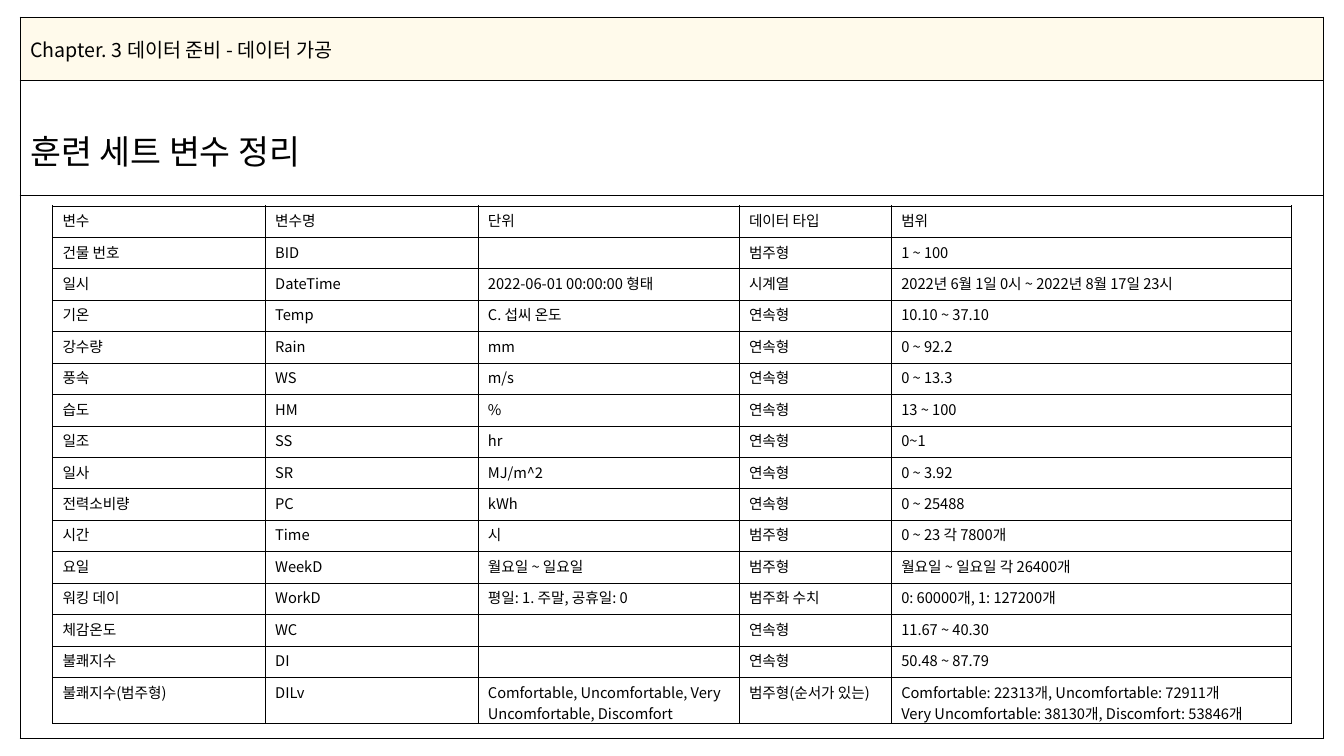
import pptx
import pptx.util
import pptx.dml.color
import pptx.enum.text
import pptx.oxml.ns
from lxml import etree

# Content
CHAPTER = "Chapter. 3 데이터 준비 - 데이터 가공"
HEADING = "훈련 세트 변수 정리"
VARIABLES = [
    ("변수", "변수명", "단위", "데이터 타입", "범위"),
    ("건물 번호", "BID", "", "범주형", "1 ~ 100"),
    ("일시", "DateTime", "2022-06-01 00:00:00 형태", "시계열",
     "2022년 6월 1일 0시 ~ 2022년 8월 17일 23시"),
    ("기온", "Temp", "C. 섭씨 온도", "연속형", "10.10 ~ 37.10"),
    ("강수량", "Rain", "mm", "연속형", "0 ~ 92.2"),
    ("풍속", "WS", "m/s", "연속형", "0 ~ 13.3"),
    ("습도", "HM", "%", "연속형", "13 ~ 100"),
    ("일조", "SS", "hr", "연속형", "0~1"),
    ("일사", "SR", "MJ/m^2", "연속형", "0 ~ 3.92"),
    ("전력소비량", "PC", "kWh", "연속형", "0 ~ 25488"),
    ("시간", "Time", "시", "범주형", "0 ~ 23 각 7800개"),
    ("요일", "WeekD", "월요일 ~ 일요일", "범주형", "월요일 ~ 일요일 각 26400개"),
    ("워킹 데이", "WorkD", "평일: 1. 주말, 공휴일: 0", "범주화 수치",
     "0: 60000개, 1: 127200개"),
    ("체감온도", "WC", "", "연속형", "11.67 ~ 40.30"),
    ("불쾌지수", "DI", "", "연속형", "50.48 ~ 87.79"),
    ("불쾌지수(범주형)", "DILv",
     "Comfortable, Uncomfortable, Very Uncomfortable, Discomfort",
     "범주형(순서가 있는)",
     "Comfortable: 22313개, Uncomfortable: 72911개\n"
     "Very Uncomfortable: 38130개, Discomfort: 53846개"),
]

# Layout in inches
FRAME_AT, FRAME_ROWS, FRAME_COLS = (0.2, 0.17), [0.63, 1.14, 5.39], [12.93]
GRID_AT, GRID_COLS = (0.52, 2.04), [2.11, 2.11, 2.59, 1.51, 3.97]
GRID_HEIGHT, LAST_ROW = 5.13, 0.45
body_rows = len(VARIABLES) - 1
GRID_ROWS = [(GRID_HEIGHT - LAST_ROW) / body_rows] * body_rows + [LAST_ROW]


class Theme:
    font = "Noto Sans CJK KR"
    ink = pptx.dml.color.RGBColor.from_string("000000")
    band = pptx.dml.color.RGBColor.from_string("FFFAEB")
    chapter, heading, body = 14, 24, 10.5
    frame_line, grid_line = 1, 0.25


Inches, Pt, qn = pptx.util.Inches, pptx.util.Pt, pptx.oxml.ns.qn


def add_plain_table(slide, at, cols, rows, line):
    """Add an unfilled table with one border weight all round."""
    table = slide.shapes.add_table(
        len(rows), len(cols), Inches(at[0]), Inches(at[1]),
        Inches(sum(cols)), Inches(sum(rows))).table
    table.first_row = table.horz_banding = False
    for column, width in zip(table.columns, cols):
        column.width = Inches(width)
    for row, height in zip(table.rows, rows):
        row.height = Inches(height)
    for cell in table.iter_cells():
        tcPr = cell._tc.get_or_add_tcPr()
        for side in ("a:lnL", "a:lnR", "a:lnT", "a:lnB"):
            ln = etree.SubElement(tcPr, qn(side), w=str(int(Pt(line))))
            fill = etree.SubElement(ln, qn("a:solidFill"))
            etree.SubElement(fill, qn("a:srgbClr"), val=str(Theme.ink))
        cell.fill.background()
    return table


def write(cell, text, size):
    """Set the cell text; an empty cell keeps the size on its end mark."""
    cell.text_frame.text = text
    for p in cell.text_frame.paragraphs:
        if not p.runs:
            etree.SubElement(p._p, qn("a:endParaRPr"), sz=str(int(size * 100)))
        for r in p.runs:
            r.font.size = Pt(size)
            r.font.color.rgb = Theme.ink
            r.font.name = Theme.font
            etree.SubElement(r._r.get_or_add_rPr(), qn("a:ea"),
                             typeface=Theme.font)


def main():
    prs = pptx.Presentation()
    prs.slide_width, prs.slide_height = Inches(13.33), Inches(7.5)
    s = prs.slides.add_slide(prs.slide_layouts[6])

    # Page frame with chapter band and heading
    frame = add_plain_table(s, FRAME_AT, FRAME_COLS, FRAME_ROWS,
                            Theme.frame_line)
    chapter, heading = frame.cell(0, 0), frame.cell(1, 0)
    write(chapter, CHAPTER, Theme.chapter)
    write(heading, HEADING, Theme.heading)
    chapter.fill.solid()
    chapter.fill.fore_color.rgb = Theme.band
    heading.text_frame.paragraphs[0].line_spacing = 1.5
    for cell in (chapter, heading):
        cell.vertical_anchor = pptx.enum.text.MSO_ANCHOR.MIDDLE

    # Variable summary
    grid = add_plain_table(s, GRID_AT, GRID_COLS, GRID_ROWS, Theme.grid_line)
    for i, record in enumerate(VARIABLES):
        for j, text in enumerate(record):
            cell = grid.cell(i, j)
            write(cell, text, Theme.body)
            cell.margin_top, cell.margin_bottom = Inches(0.04), 0

    prs.save("out.pptx")


if __name__ == "__main__":
    main()
